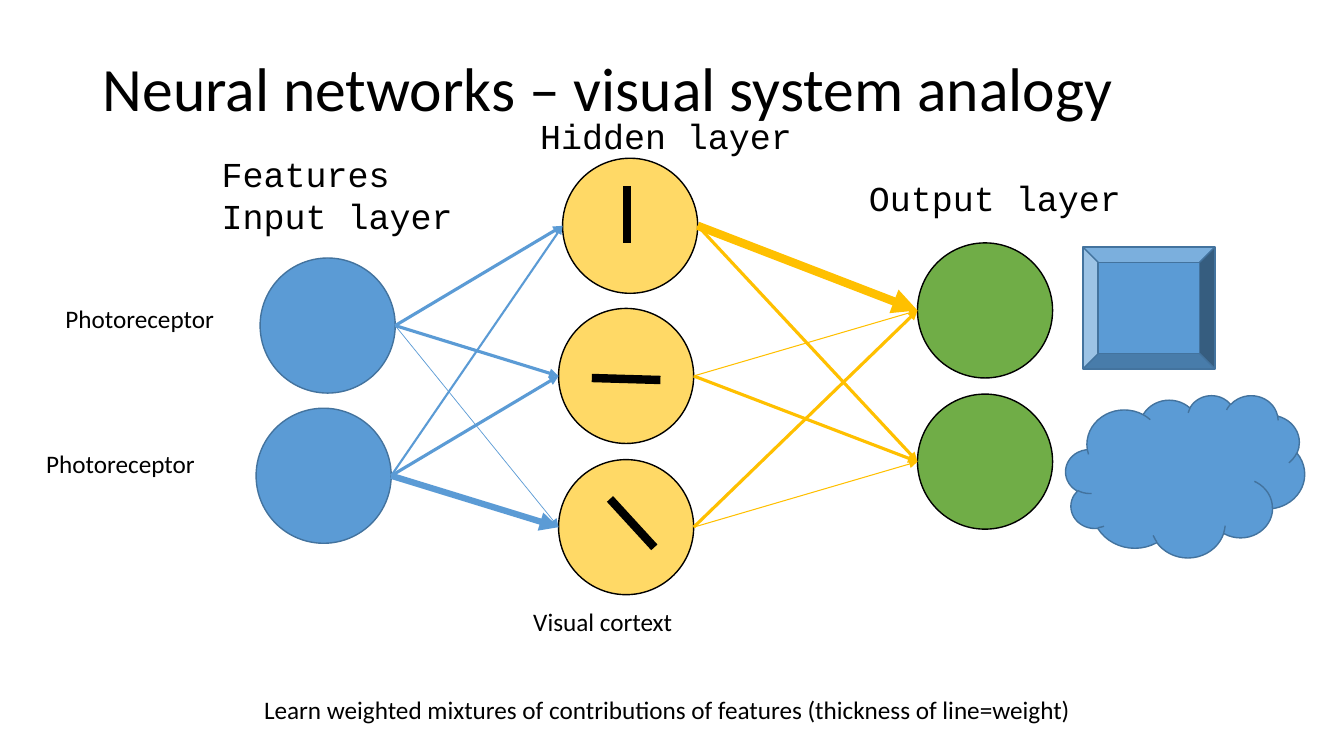
from pptx import Presentation
from pptx.dml.color import RGBColor
from pptx.enum.shapes import MSO_CONNECTOR, MSO_SHAPE as SHAPE
from pptx.enum.text import MSO_ANCHOR, MSO_AUTO_SIZE, PP_ALIGN
from pptx.oxml.ns import qn
from pptx.util import Pt
from lxml.etree import SubElement

PX = 9144  # 100 px to the inch
BLUE, BLUE_EDGE = "5B9BD5", "43739E"
YELLOW, ORANGE, GREEN, BLACK = "FFD966", "FFC000", "70AD47", "000000"
DIAMETER = 134
RADIUS = DIAMETER // 2

prs = Presentation()
prs.slide_width, prs.slide_height = 1333 * PX, 750 * PX
slide = prs.slides.add_slide(prs.slide_layouts[6])
shapes = slide.shapes


def rgb(color):
    return RGBColor.from_string(color)


def add_line(x1, y1, x2, y2, color, weight, arrow=False):
    line = shapes.add_connector(
        MSO_CONNECTOR.STRAIGHT, x1 * PX, y1 * PX, x2 * PX, y2 * PX)
    line.line.color.rgb = rgb(color)
    line.line.width = Pt(weight)
    if arrow:
        SubElement(line.line._get_or_add_ln(), qn("a:tailEnd"), type="triangle")
    SubElement(line._element.spPr, qn("a:effectLst"))


# Neurons of each layer (left, top), then the objects they recognise
inputs = [(258, 256), (254, 405)]
hidden = [(558, 157), (554, 306), (554, 456)]
outputs = [(910, 241), (910, 391)]
figures = [(SHAPE.OVAL, x, y, DIAMETER, DIAMETER, fill, edge)
           for layer, fill, edge in [(inputs, BLUE, BLUE_EDGE),
                                     (hidden, YELLOW, BLACK),
                                     (outputs, GREEN, BLACK)]
           for x, y in layer]
figures += [(SHAPE.BEVEL, 1074, 245, 131, 121, BLUE, BLUE_EDGE),
            (SHAPE.CLOUD, 1057, 392, 237, 161, BLUE, BLUE_EDGE)]
for kind, x, y, width, height, fill, edge in figures:
    figure = shapes.add_shape(kind, x * PX, y * PX, width * PX, height * PX)
    figure.shadow.inherit = False
    figure.fill.solid()
    figure.fill.fore_color.rgb = rgb(fill)
    figure.line.color.rgb = rgb(edge)
    figure.line.width = Pt(1)

# Weights in points: one row per source neuron, one column per target neuron
input_weights = [[2.25, 2.25, 0.5], [1.5, 2.25, 4.5]]
output_weights = [[6, 2.25], [0.75, 2.25], [2.25, 0.75]]
for sources, targets, weights, color in [
        (inputs, hidden, input_weights, BLUE),
        (hidden, outputs, output_weights, ORANGE)]:
    for (x1, y1), row in zip(sources, weights):
        for (x2, y2), weight in zip(targets, row):
            add_line(x1 + DIAMETER, y1 + RADIUS, x2, y2 + RADIUS,
                     color, weight, arrow=True)

# Edge orientation that each hidden neuron prefers
for ends in [(622, 185, 622, 241), (587, 375, 655, 377), (605, 495, 649, 543)]:
    add_line(*ends, BLACK, 6)

title = shapes.add_textbox(92 * PX, 18 * PX, 1150 * PX, 145 * PX).text_frame
title.word_wrap = True
title.vertical_anchor = MSO_ANCHOR.MIDDLE
heading = title.paragraphs[0]
heading.text = "Neural networks – visual system analogy"
heading.line_spacing = 0.9
heading.font.name = "Calibri"
heading.font.size = Pt(44)
heading.font.color.rgb = rgb(BLACK)

LAYER, NOTE = ("Courier New", 25), ("Calibri", 18)
for text, x, y, width, height, (font, size), align in [
        ("Features\nInput layer", 210, 146, 252, 94, LAYER, PP_ALIGN.LEFT),
        ("Hidden layer", 524, 109, 273, 52, LAYER, PP_ALIGN.CENTER),
        ("Output layer", 852, 170, 273, 52, LAYER, PP_ALIGN.LEFT),
        ("Photoreceptor", 55, 296, 169, 40, NOTE, PP_ALIGN.LEFT),
        ("Photoreceptor", 36, 440, 169, 40, NOTE, PP_ALIGN.LEFT),
        ("Visual cortext", 519, 597, 159, 40, NOTE, PP_ALIGN.LEFT),
        ("Learn weighted mixtures of contributions of features "
         "(thickness of line=weight)", 252, 684, 822, 40, NOTE, PP_ALIGN.LEFT)]:
    label = shapes.add_textbox(x * PX, y * PX, width * PX, height * PX).text_frame
    label.word_wrap = False
    label.auto_size = MSO_AUTO_SIZE.SHAPE_TO_FIT_TEXT
    label.text = text
    for paragraph in label.paragraphs:
        paragraph.alignment = align
        paragraph.font.name = font
        paragraph.font.size = Pt(size)
        paragraph.font.color.rgb = rgb(BLACK)

prs.save("out.pptx")
